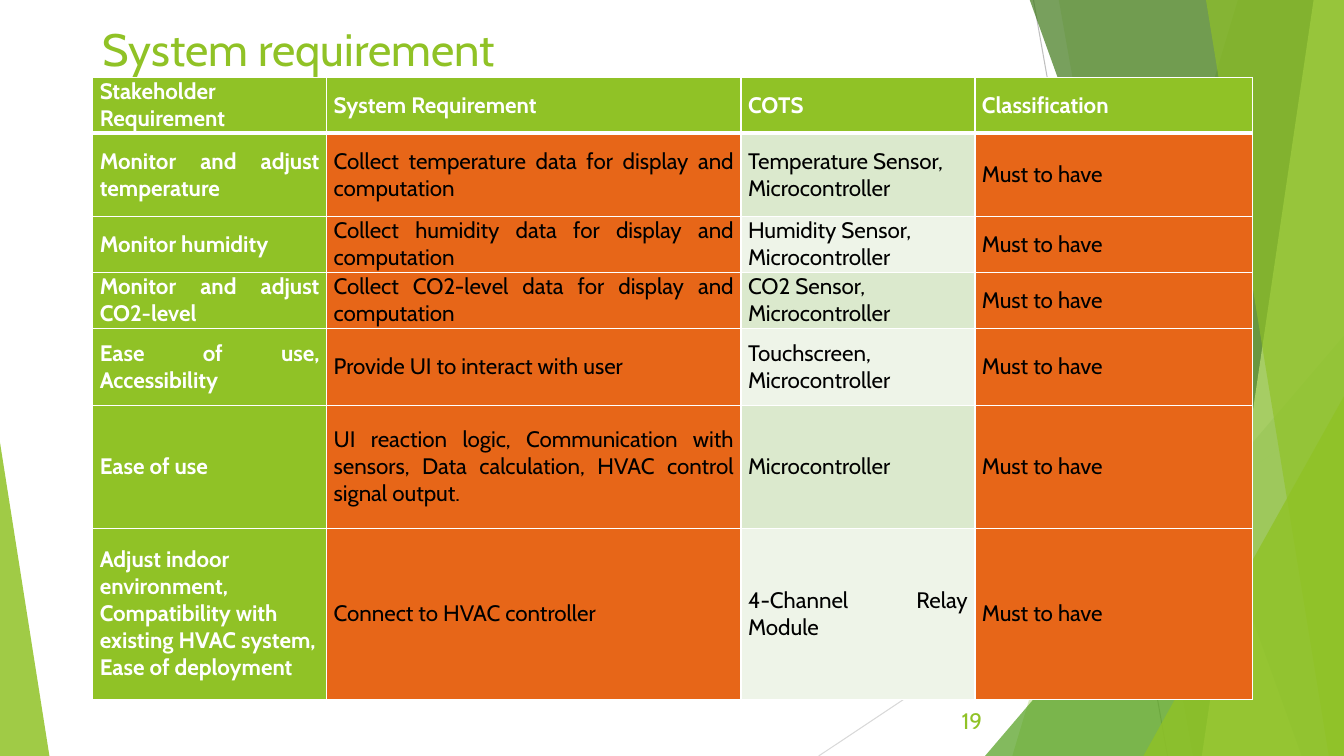
from lxml.etree import SubElement
from pptx import Presentation
from pptx.dml.color import RGBColor
from pptx.enum.shapes import MSO_CONNECTOR, MSO_SHAPE
from pptx.enum.text import MSO_ANCHOR, PP_ALIGN
from pptx.oxml.ns import qn
from pptx.util import Pt

PX = 9144
FONT = "Cabin"
COLORS = {
    "white": "FFFFFF", "black": "000000", "green": "90C226",
    "leaf": "54A021", "forest": "3F7819", "lime": "C0E474",
    "orange": "E76618", "pale": "DBE9CD", "paler": "EEF4E8",
    "grey": "BFBFBF", "light grey": "D9D9D9",
}


def add_text(paragraph, text, size, color, bold=False):
    run = paragraph.add_run()
    run.text = text
    run.font.name = FONT
    run.font.size = Pt(size)
    run.font.bold = bold
    run.font.color.rgb = RGBColor.from_string(COLORS[color])


def paint(shape, color, opacity):
    shape.shadow.inherit = False
    shape.fill.solid()
    shape.fill.fore_color.rgb = RGBColor.from_string(COLORS[color])
    shape.line.fill.background()
    color_element = shape.element.find(".//" + qn("a:srgbClr"))
    SubElement(color_element, qn("a:alpha"), val=str(opacity * 1000))


presentation = Presentation()
presentation.slide_width = 1333 * PX
presentation.slide_height = 750 * PX
slide = presentation.slides.add_slide(presentation.slide_layouts[5])
shapes = slide.shapes

for x1, y1, x2, y2, color in [
    (1025, 0, 1158, 750, "grey"),
    (1333, 403, 812, 750, "light grey"),
]:
    line = shapes.add_connector(MSO_CONNECTOR.STRAIGHT, x1 * PX, y1 * PX, x2 * PX, y2 * PX)
    line.line.color.rgb = RGBColor.from_string(COLORS[color])
    line.line.width = Pt(0.75)
    SubElement(line.element.spPr, qn("a:effectLst"))

facets = [
    ("band", 1228, 1004, "green", 30),
    ("band", 1050, 1183, "green", 20),
    ("triangle", (977, 333, 356, 417), 1, "leaf", 72),
    ("band", 1021, 1291, "forest", 70),
    ("band", 1303, 1192, "lime", 70),
    ("band", 1196, 1318, "green", 65),
    ("triangle", (1134, 393, 199, 357), 1, "green", 80),
    ("triangle", (0, 439, 49, 311), 0, "green", 85),
]
for kind, first, second, color, opacity in facets:
    if kind == "band":
        builder = shapes.build_freeform(first, -1, scale=PX)
        builder.add_line_segments([(1333, -1), (1333, 750), (second, 750)], close=True)
        facet = builder.convert_to_shape()
    else:
        facet = shapes.add_shape(MSO_SHAPE.ISOSCELES_TRIANGLE, *[length * PX for length in first])
        facet.adjustments[0] = second
    paint(facet, color, opacity)

title = shapes.title
title.left, title.top, title.width, title.height = 92 * PX, 16 * PX, 1150 * PX, 61 * PX
title.text_frame.vertical_anchor = MSO_ANCHOR.TOP
title.text_frame.paragraphs[0].alignment = PP_ALIGN.LEFT
add_text(title.text_frame.paragraphs[0], "System requirement", 32.4, "green")
title.element.getparent().append(title.element)

requirements = [
    ("Stakeholder Requirement", "System Requirement", "COTS", "Classification "),
    ("Monitor and adjust temperature", "Collect temperature data for display and computation",
     "Temperature Sensor, Microcontroller", "Must to have"),
    ("Monitor humidity", "Collect humidity data for display and computation",
     "Humidity Sensor, Microcontroller", "Must to have"),
    ("Monitor and adjust CO2-level", "Collect CO2-level data for display and computation",
     "CO2 Sensor, Microcontroller", "Must to have"),
    ("Ease of use, Accessibility", "Provide UI to interact with user",
     "Touchscreen, Microcontroller", "Must to have"),
    ("Ease of use",
     "UI reaction logic, Communication with sensors, Data calculation, HVAC control signal output.",
     "Microcontroller", "Must to have"),
    ("Adjust indoor environment, Compatibility with existing HVAC system, Ease of deployment",
     "Connect to HVAC controller", "4-Channel Relay Module", "Must to have"),
]
left_aligned = {(0, 0), (0, 1), (1, 2), (2, 2), (3, 2), (4, 2), (5, 0), (6, 0)}
column_widths = [232, 411, 232, 275]
row_heights = [55, 83, 55, 56, 76, 122, 170]

table = shapes.add_table(
    len(row_heights), len(column_widths), 92 * PX, 77 * PX,
    sum(column_widths) * PX, sum(row_heights) * PX,
).table
table.first_row = False
table.horz_banding = False
for column, width in zip(table.columns, column_widths):
    column.width = width * PX
for row, height in zip(table.rows, row_heights):
    row.height = height * PX

for r, requirement in enumerate(requirements):
    for c, text in enumerate(requirement):
        cell = table.cell(r, c)
        heading = r == 0 or c == 0
        cell.margin_left = cell.margin_right = 7 * PX
        cell.margin_top = cell.margin_bottom = 0
        cell.vertical_anchor = MSO_ANCHOR.MIDDLE
        paragraph = cell.text_frame.paragraphs[0]
        paragraph.alignment = PP_ALIGN.LEFT if (r, c) in left_aligned else PP_ALIGN.JUSTIFY
        add_text(paragraph, text, 16, "white" if heading else "black", heading)

        properties = cell._tc.get_or_add_tcPr()
        for side in ("L", "R", "T", "B"):
            under_header = (r, side) in ((0, "B"), (1, "T"))
            border = SubElement(properties, qn("a:ln" + side), w=str(Pt(3 if under_header else 1)))
            border_fill = SubElement(border, qn("a:solidFill"))
            SubElement(border_fill, qn("a:srgbClr"), val=COLORS["white"])

        if heading:
            fill = "green"
        elif c == 2:
            fill = "pale" if r % 2 else "paler"
        else:
            fill = "orange"
        cell.fill.solid()
        cell.fill.fore_color.rgb = RGBColor.from_string(COLORS[fill])

page_number = shapes.add_textbox(909 * PX, 695 * PX, 75 * PX, 40 * PX)
page_number.text_frame.word_wrap = True
page_number.text_frame.vertical_anchor = MSO_ANCHOR.MIDDLE
page_number.text_frame.paragraphs[0].alignment = PP_ALIGN.RIGHT
add_text(page_number.text_frame.paragraphs[0], "19", 16, "green")

presentation.save("out.pptx")
